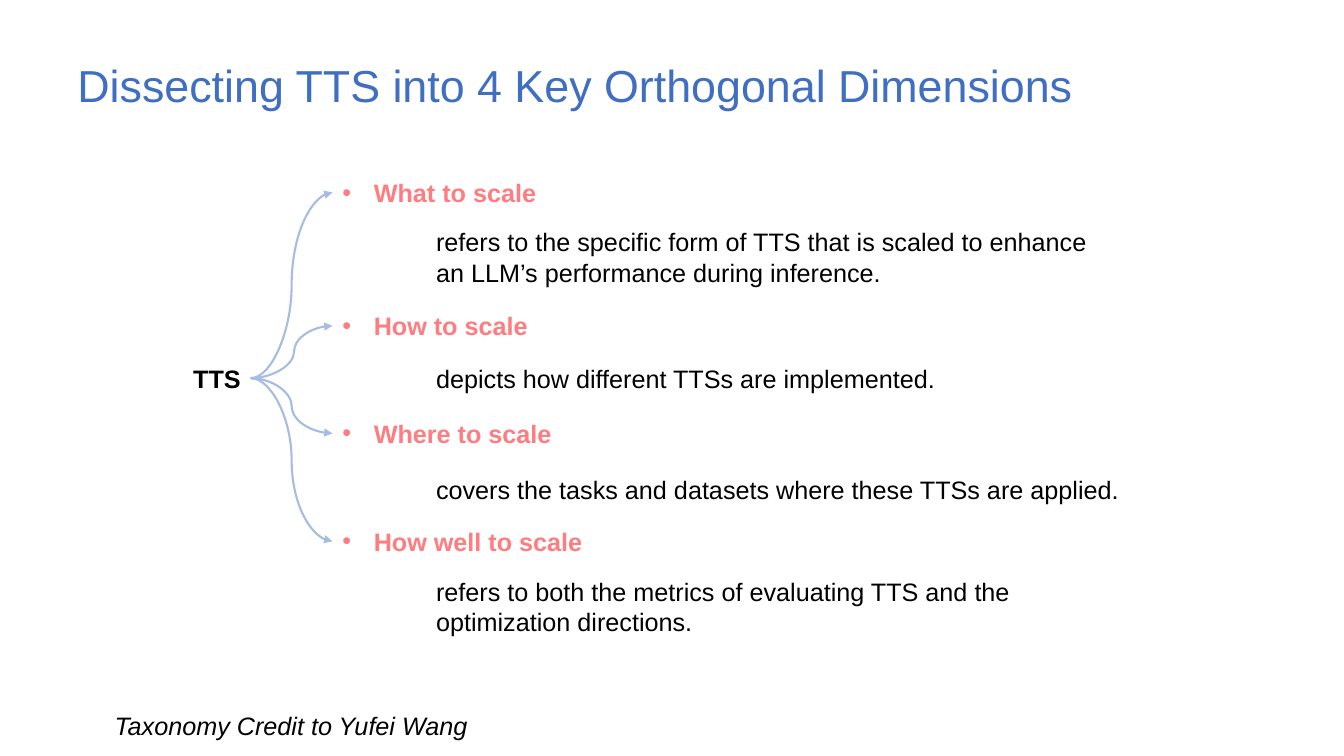
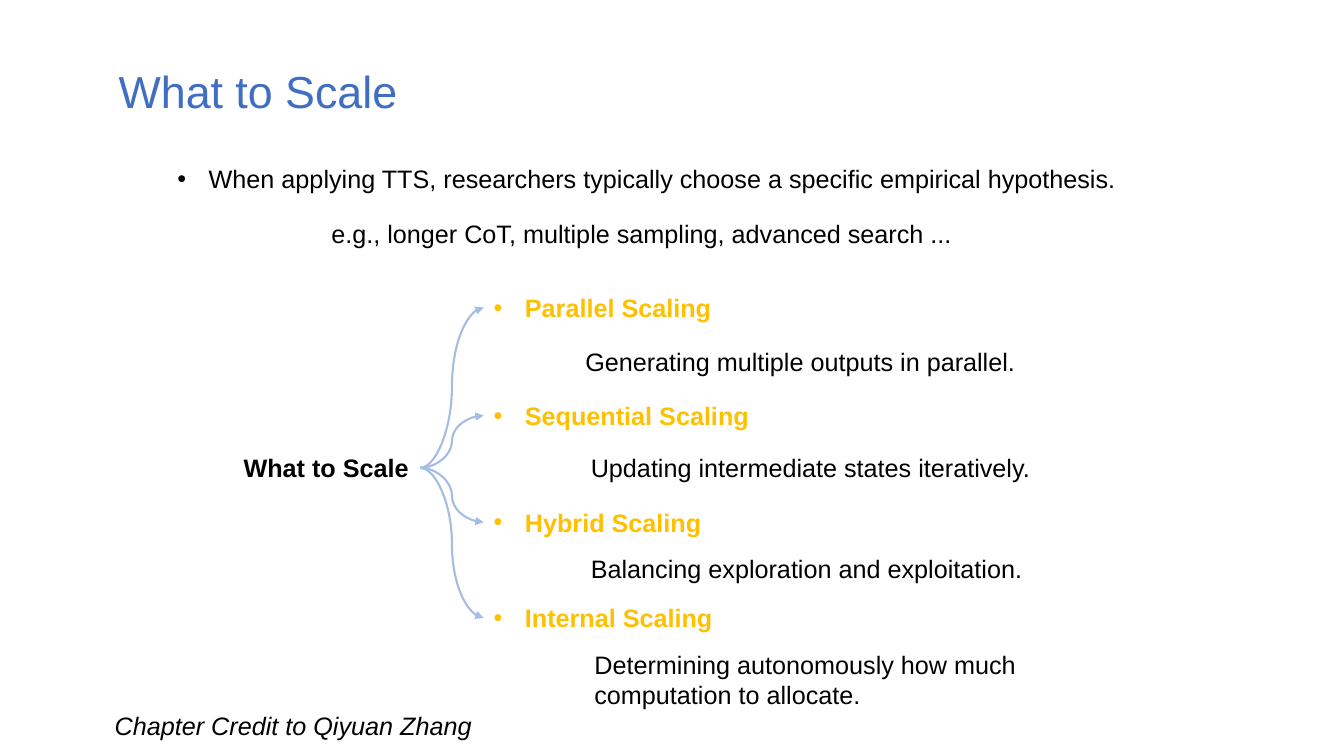
"""Build two slides that dissect test-time scaling into its branches."""
from lxml import etree
from pptx import Presentation
from pptx.dml.color import RGBColor
from pptx.enum.shapes import MSO_CONNECTOR as Link
from pptx.enum.text import MSO_AUTO_SIZE as AutoSize
from pptx.oxml.ns import qn
from pptx.util import Cm, Pt

COLOURS = {
    "title": "3F6EC2",
    "body": "000000",
    "dimension": "FF7C80",
    "strategy": "FFC000",
    "arrow": "A6BCE3",
}
FONT = "Arial"
LINE_HEIGHT = 1.02
BULLET_INDENT = 0.79

DIMENSIONS = [
    ("What to scale", 4.34,
     "refers to the specific form of TTS that is scaled to enhance an LLM’s performance during inference.",
     (10.74, 5.59, 17.65), 0.5),
    ("How to scale", 7.7, "depicts how different TTSs are implemented.",
     (10.74, 9.02, 16.94), 0.53),
    ("Where to scale", 10.41, "covers the tasks and datasets where these TTSs are applied.",
     (10.74, 11.84, 17.86), 0.5),
    ("How well to scale", 13.13,
     "refers to both the metrics of evaluating TTS and the optimization directions.",
     (10.74, 14.4, 16.94), 0.5),
]
STRATEGIES = [
    ("Parallel Scaling", 7.24, "Generating multiple outputs in parallel.",
     (14.5, 8.61, 14.35), 0.5),
    ("Sequential Scaling", 9.96, "Updating intermediate states iteratively.",
     (14.64, 11.28, 16.94), 0.5),
    ("Hybrid Scaling", 12.65, "Balancing exploration and exploitation.",
     (14.64, 13.82, 16.94), 0.5),
    ("Internal Scaling", 15.06, "Determining autonomously how much computation to allocate.",
     (14.73, 16.23, 14.1), 0.5),
]


def add_text(slide, text, left, top, width, *, height=LINE_HEIGHT, size=18, colour="body",
             bold=False, italic=False, bullet=False, wrap=True):
    box = slide.shapes.add_textbox(Cm(left), Cm(top), Cm(width), Cm(height))
    frame = box.text_frame
    frame.word_wrap = wrap
    frame.auto_size = AutoSize.SHAPE_TO_FIT_TEXT
    paragraph = frame.paragraphs[0]
    if bullet:
        props = paragraph._p.get_or_add_pPr()
        props.set("marL", str(Cm(BULLET_INDENT)))
        props.set("indent", str(-Cm(BULLET_INDENT)))
        etree.SubElement(props, qn("a:buFont"), typeface=FONT)
        etree.SubElement(props, qn("a:buChar"), char="•")
    run = paragraph.add_run()
    run.text = text
    run.font.name = FONT
    run.font.size = Pt(size)
    run.font.bold = bold
    run.font.italic = italic
    run.font.color.rgb = RGBColor.from_string(COLOURS[colour])


def add_title(slide, text, left, top, width):
    add_text(slide, text, left, top, width, height=1.62, size=32, colour="title")


def add_credit(slide, text):
    add_text(slide, text, 2.64, 17.78, 20, italic=True)


def add_arrow(slide, start, end, bend):
    arrow = slide.shapes.add_connector(Link.CURVE, *map(Cm, start + end))
    arrow.line.color.rgb = RGBColor.from_string(COLOURS["arrow"])
    arrow.line.width = Pt(1.5)
    etree.SubElement(arrow.line._get_or_add_ln(), qn("a:tailEnd"), type="triangle")
    props = arrow._element.spPr
    guides = props.find(qn("a:prstGeom")).get_or_add_avLst()
    etree.SubElement(guides, qn("a:gd"), name="adj1", fmla=f"val {round(bend * 100000)}")
    etree.SubElement(props, qn("a:effectLst"))


def add_branches(slide, hub, hub_place, branch_left, branches, colour):
    hub_left, hub_top, hub_width = hub_place
    middle = LINE_HEIGHT / 2
    start = (hub_left + hub_width, hub_top + middle)
    add_text(slide, hub, *hub_place, bold=True, wrap=False)
    for name, top, detail, detail_place, bend in branches:
        add_arrow(slide, start, (branch_left, top + middle), bend)
        add_text(slide, name, branch_left, top, 7.87, colour=colour, bold=True, bullet=True)
        add_text(slide, detail, *detail_place)


def build_dimensions(slide):
    add_title(slide, "Dissecting TTS into 4 Key Orthogonal Dimensions", 1.7, 1.32, 27)
    add_branches(slide, "TTS", (4.62, 9.02, 1.7), 8.38, DIMENSIONS, "dimension")
    add_credit(slide, "Taxonomy Credit to Yufei Wang")


def build_strategies(slide):
    add_title(slide, "What to Scale", 2.74, 1.47, 8)
    add_text(slide,
             "When applying TTS, researchers typically choose a specific empirical hypothesis.",
             4.22, 3.99, 27.46, bullet=True)
    add_text(slide, "e.g., longer CoT, multiple sampling, advanced search ...",
             8.1, 5.38, 18)
    add_branches(slide, "What to Scale", (5.89, 11.28, 4.7), 12.19, STRATEGIES, "strategy")
    add_credit(slide, "Chapter Credit to Qiyuan Zhang")


def main():
    deck = Presentation()
    deck.slide_width, deck.slide_height = Cm(33.87), Cm(19.05)
    blank = deck.slide_layouts[6]
    for build in (build_dimensions, build_strategies):
        build(deck.slides.add_slide(blank))
    deck.save("out.pptx")


if __name__ == "__main__":
    main()
